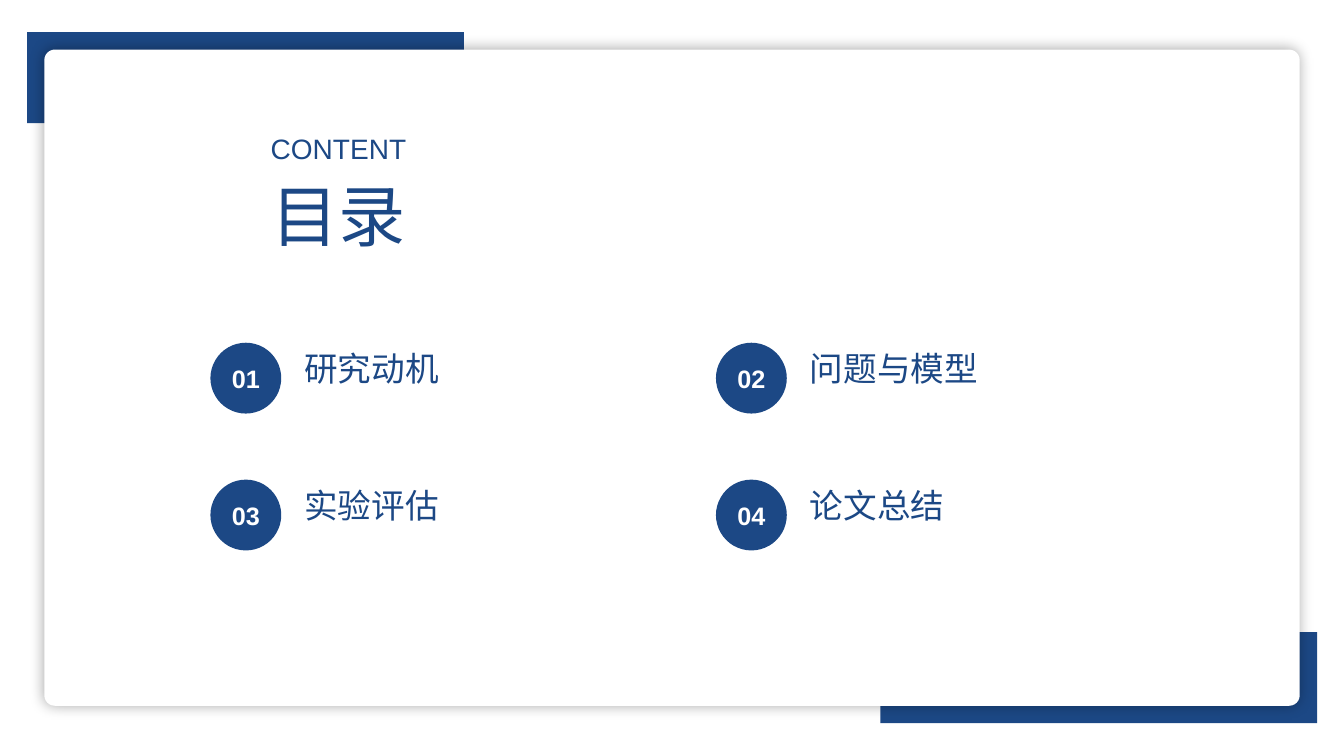
from lxml import etree
from pptx import Presentation
from pptx.dml.color import RGBColor
from pptx.enum.shapes import MSO_SHAPE as Kind
from pptx.enum.text import MSO_ANCHOR as Anchor, MSO_AUTO_SIZE as Auto, PP_ALIGN as Align
from pptx.util import Pt

NAVY = RGBColor(0x1C, 0x48, 0x85)
WHITE = RGBColor(0xFF, 0xFF, 0xFF)
FONT = "Arial"
SHADOW = """<a:effectLst xmlns:a="http://schemas.openxmlformats.org/drawingml/2006/main">
<a:outerShdw blurRad="127000" dist="0" algn="ctr" rotWithShape="0">
<a:srgbClr val="000000"><a:alpha val="35000"/></a:srgbClr>
</a:outerShdw></a:effectLst>"""


def write(shape, text, size, color=NAVY, bold=False, align=Align.LEFT,
          anchor=Anchor.TOP, wrap=True):
    frame = shape.text_frame
    frame.word_wrap = wrap
    frame.auto_size = Auto.NONE
    frame.vertical_anchor = anchor
    para = frame.paragraphs[0]
    para.alignment = align
    run = para.add_run()
    run.text = text
    font = run.font
    font.name, font.size, font.bold = FONT, Pt(size), bold
    font.color.rgb = color


def label(slide, box, text, size, **style):
    write(slide.shapes.add_textbox(*map(Pt, box)), text, size, **style)


def block(slide, kind, box, color):
    shape = slide.shapes.add_shape(kind, *map(Pt, box))
    shape.shadow.inherit = False
    shape.fill.solid()
    shape.fill.fore_color.rgb = color
    shape.line.fill.background()
    return shape


def frame(slide, left, top, width, height):
    wide, high = 312, 65
    block(slide, Kind.RECTANGLE,
          (left + width - wide, top + height - high, wide, high), NAVY)
    block(slide, Kind.RECTANGLE, (left, top, wide, high), NAVY)
    edge = 12.4
    card = block(slide, Kind.ROUNDED_RECTANGLE,
                 (left + edge, top + edge, width - 2 * edge, height - 2 * edge), WHITE)
    card.adjustments[0] = 0.016
    props = card.element.spPr
    plain = props.find("{*}effectLst")
    props.replace(plain, etree.fromstring(SHADOW))


def heading(slide, left, top, width):
    title = slide.shapes.title
    title.left, title.top, title.width, title.height = map(
        Pt, (left, top + 30.3, width, 65.5))
    write(title, "目录", 48, align=Align.CENTER)
    title.element.getparent().append(title.element)
    label(slide, (left, top, width, 31.5), "CONTENT", 20, align=Align.CENTER)


def agenda(slide, left, top, items, cols=2):
    size, across, down = 50.6, 361.1, 97.8
    for index, text in enumerate(items):
        row, col = divmod(index, cols)
        x, y = left + col * across, top + row * down
        dot = block(slide, Kind.OVAL, (x, y, size, size), NAVY)
        write(dot, f"{index + 1:02}", 18, color=WHITE, bold=True,
              align=Align.CENTER, anchor=Anchor.MIDDLE, wrap=False)
        label(slide, (x + 60, y, 291.6, 36), text, 24)


def main():
    deck = Presentation()
    deck.slide_width, deck.slide_height = Pt(960), Pt(540)
    slide = deck.slides.add_slide(deck.slide_layouts[5])
    frame(slide, 19.3, 23, 921.5, 493.5)
    heading(slide, 150.3, 90.7, 183)
    agenda(slide, 150.3, 244.8, ["研究动机", "问题与模型", "实验评估", "论文总结"])
    deck.save("out.pptx")


if __name__ == "__main__":
    main()
